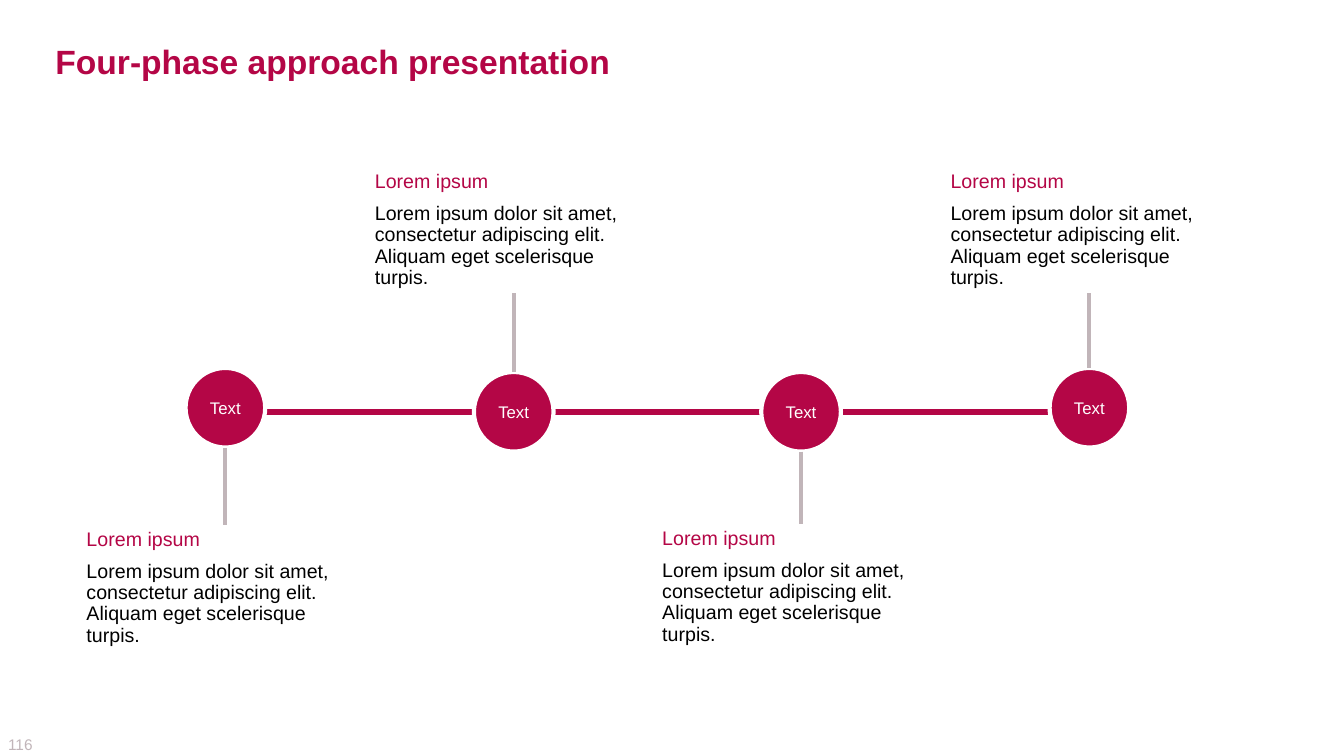
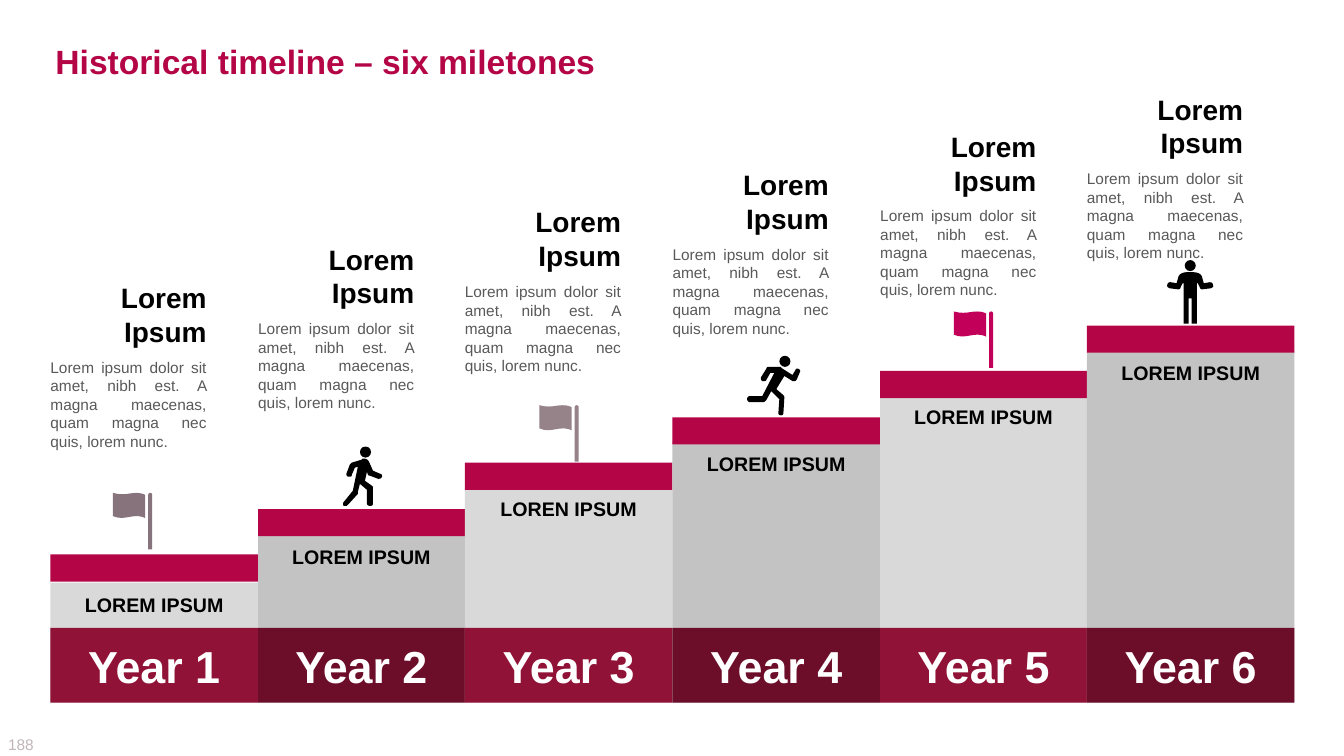
import dataclasses
import lxml.etree
import pptx
import pptx.dml.color
import pptx.enum.shapes
import pptx.enum.text
import pptx.oxml.ns
import pptx.util

PX = 9144
SHAPE = pptx.enum.shapes.MSO_SHAPE
ALIGN = pptx.enum.text.PP_ALIGN
ANCHOR = pptx.enum.text.MSO_ANCHOR


@dataclasses.dataclass(frozen=True)
class Theme:
    font: str = "Arial"
    brand: str = "B40646"
    flag: str = "C2005A"
    muted: str = "C1B5B9"
    ink: str = "000000"
    paper: str = "FFFFFF"
    body: str = "595959"
    columns: tuple = ("D9D9D9", "C3C3C3")
    years: tuple = ("901237", "6C0D29")
    title_pt: int = 24
    year_pt: int = 32
    heading_pt: int = 20
    label_pt: int = 14
    node_pt: int = 12
    small_pt: int = 11


T = Theme()

PHASE_TEXT = ("Lorem ipsum dolor sit amet, consectetur adipiscing elit. "
              "Aliquam eget scelerisque turpis.")
STEP_TEXT = ("Lorem ipsum dolor sit amet, nibh est. A magna maecenas, "
             "quam magna nec quis, lorem nunc.")

CLOTH = [(23, 0), (29, 0, 32, 2, 32, 2), (32, 25), (32, 25, 29, 23, 23, 23),
         (16, 23, 9, 27, 0, 23), (0, 0), (11, 3, 16, 0, 23, 0)]

WALKER = [(37, 27), (30, 24), (26, 15), (25, 13, 23, 12, 21, 12),
          (20, 12, 19, 12, 19, 13), (9, 16), (8, 17, 8, 17, 7, 18), (4, 26),
          (3, 28, 4, 29, 5, 30), (6, 30), (8, 30, 9, 30, 9, 28), (12, 21),
          (15, 20), (10, 44), (1, 55), (0, 56, 0, 58, 1, 59), (3, 59),
          (4, 59, 4, 59, 5, 58), (15, 47), (15, 46, 15, 46, 15, 45),
          (17, 37), (24, 43), (24, 57), (24, 58, 26, 59, 27, 59),
          (29, 59, 30, 58, 30, 57), (30, 41), (30, 40, 30, 40, 29, 39),
          (22, 34), (24, 25), (25, 28), (26, 29, 26, 29, 27, 29), (35, 32),
          (36, 32), (37, 32, 38, 32, 39, 30), (39, 29, 39, 27, 37, 27)]

RUNNER = [(51, 13), (50, 12, 48, 13, 48, 14), (45, 19), (34, 12),
          (34, 12, 34, 11, 33, 11), (21, 11), (20, 11, 19, 12, 19, 13),
          (14, 21), (13, 23, 14, 24, 15, 25), (17, 25),
          (18, 25, 19, 25, 19, 24), (23, 17), (27, 17), (15, 40), (3, 40),
          (1, 40, 0, 41, 0, 43), (0, 44, 1, 46, 3, 46), (16, 46),
          (17, 46, 18, 45, 19, 44), (24, 35), (32, 43), (31, 57),
          (31, 58, 32, 59, 34, 59), (35, 59, 36, 58, 36, 57), (37, 41),
          (37, 41, 37, 40, 36, 39), (29, 33), (37, 20), (45, 25),
          (45, 25, 46, 25, 47, 25), (48, 25, 48, 25, 49, 24), (52, 17),
          (53, 15, 53, 14, 51, 13)]

STANDER = [(46, 25), (46, 23, 45, 22, 43, 22), (37, 23), (35, 16),
           (33, 12, 28, 12, 23, 12), (19, 12, 14, 12, 12, 16), (10, 23),
           (4, 22), (2, 22, 1, 23, 1, 24), (0, 26, 1, 27, 3, 28), (11, 29),
           (12, 29), (13, 29, 14, 28, 14, 27), (16, 23), (17, 23), (17, 63),
           (22, 63), (22, 38), (25, 38), (25, 63), (30, 63), (30, 23),
           (31, 23), (33, 27), (33, 28, 34, 29, 35, 29), (36, 29), (44, 28),
           (46, 27, 47, 26, 46, 25)]


def rgb(color):
    return pptx.dml.color.RGBColor.from_string(color)


def emu(*lengths):
    return [round(v * PX) for v in lengths]


def write(sp, paragraphs, align=ALIGN.LEFT, anchor=ANCHOR.TOP,
          insets=(0, 0, 0, 0), line=None, gap=0):
    tf = sp.text_frame
    tf.word_wrap = True
    tf.vertical_anchor = anchor
    (tf.margin_left, tf.margin_top,
     tf.margin_right, tf.margin_bottom) = emu(*insets)
    for i, (text, size, color, bold) in enumerate(paragraphs):
        p = tf.add_paragraph() if i else tf.paragraphs[0]
        p.text = text
        p.alignment = align
        p.space_before = pptx.util.Pt(gap if i else 0)
        p.space_after = pptx.util.Pt(gap)
        if line:
            p.line_spacing = line
        f = p.runs[0].font
        f.name, f.size, f.bold = T.font, pptx.util.Pt(size), bold
        f.color.rgb = rgb(color)


def add_text(s, box, paragraphs, **style):
    write(s.shapes.add_textbox(*emu(*box)), paragraphs, **style)


def paint(sp, fill, outline=None, width=0):
    sp.shadow.inherit = False
    sp.fill.solid()
    sp.fill.fore_color.rgb = rgb(fill)
    if outline:
        sp.line.color.rgb = rgb(outline)
        sp.line.width = pptx.util.Pt(width)
    else:
        sp.line.fill.background()
    return sp


def add_shape(s, kind, box, fill, outline=None, width=0):
    return paint(s.shapes.add_shape(kind, *emu(*box)), fill, outline, width)


def add_line(s, start, end, color, width):
    c = s.shapes.add_connector(pptx.enum.shapes.MSO_CONNECTOR.STRAIGHT,
                               *emu(*start, *end))
    c.line.color.rgb = rgb(color)
    c.line.width = pptx.util.Pt(width)
    lxml.etree.SubElement(c._element.spPr, pptx.oxml.ns.qn("a:effectLst"))


def flatten(outline, steps=6):
    points = [outline[0]]
    for part in outline[1:]:
        if len(part) == 2:
            points.append(part)
            continue
        (x0, y0), (x1, y1, x2, y2, x3, y3) = points[-1], part
        for k in range(1, steps + 1):
            t = k / steps
            a, b, c, d = (1 - t) ** 3, 3 * t * (1 - t) ** 2, 3 * t * t * (1 - t), t ** 3
            points.append((a * x0 + b * x1 + c * x2 + d * x3,
                           a * y0 + b * y1 + c * y2 + d * y3))
    return points


def add_outline(s, x, y, outline, color):
    points = [emu(x + dx, y + dy) for dx, dy in flatten(outline)]
    fb = s.shapes.build_freeform(*points[0])
    fb.add_line_segments(points[1:], close=True)
    paint(fb.convert_to_shape(), color)


def add_flag(s, x, y, color):
    pole = add_shape(s, SHAPE.ROUND_2_SAME_RECTANGLE, (x + 35, y, 4, 56), color)
    pole.adjustments[0] = 0.5
    add_outline(s, x, y, CLOTH, color)


def add_figure(s, x, y, outline, head):
    add_shape(s, SHAPE.OVAL, (x + head, y, 11, 11), T.ink)
    add_outline(s, x, y, outline, T.ink)


def add_slide(prs, title, number):
    s = prs.slides.add_slide(prs.slide_layouts[6])
    add_text(s, (8, 729, 39, 19), [(number, T.small_pt, T.muted, False)],
             anchor=ANCHOR.MIDDLE)
    add_text(s, (47, 35, 1240, 51), [(title, T.title_pt, T.brand, True)],
             anchor=ANCHOR.MIDDLE, insets=(8, 5, 8, 5))
    return s


def add_phase(s, x, y, text_y):
    size, text_h = 79, 125
    mid = x + size / 2
    node = add_shape(s, SHAPE.OVAL, (x, y, size, size), T.brand, T.paper, 3)
    write(node, [("Text", T.node_pt, T.paper, False)], ALIGN.CENTER,
          ANCHOR.MIDDLE, (4, 4, 4, 4))
    if text_y < y:
        add_line(s, (mid, y), (mid, text_y + text_h), T.muted, 3)
    else:
        add_line(s, (mid, y + size), (mid, text_y), T.muted, 3)
    add_text(s, (x - 108, text_y, 296, text_h),
             [("Lorem ipsum", T.label_pt, T.brand, False),
              (PHASE_TEXT, T.label_pt, T.ink, False)],
             insets=(10, 4, 10, 4), line=0.9, gap=4)


def phases_slide(prs):
    s = add_slide(prs, "Four-phase approach presentation", "116")
    add_line(s, (229, 409), (1119, 409), T.brand, 4.5)
    rows = [(365, 521), (369, 166), (369, 520), (365, 166)]
    for i, (y, text_y) in enumerate(rows):
        add_phase(s, 184 + round(857 * i / 3), y, text_y)


def add_step(s, i, box, label, column_y):
    x, y, w, h = box
    bottom = y + h
    column = add_shape(s, SHAPE.RECTANGLE, (x, column_y, w, bottom - column_y),
                       T.columns[i % 2])
    write(column, [(label, T.label_pt, T.ink, True)], ALIGN.CENTER,
          insets=(10, 10, 10, 5))
    add_shape(s, SHAPE.RECTANGLE, (x, y, w, 27), T.brand)
    year = add_shape(s, SHAPE.RECTANGLE, (x, bottom - 74, w, 74), T.years[i % 2])
    write(year, [(f"Year {i + 1}", T.year_pt, T.paper, True)], ALIGN.CENTER,
          ANCHOR.MIDDLE)


def add_step_text(s, x, y):
    add_text(s, (x, y - 76, 155, 76), [("Lorem Ipsum", T.heading_pt, T.ink, True)],
             align=ALIGN.RIGHT, anchor=ANCHOR.BOTTOM, insets=(0, 5, 0, 5))
    add_text(s, (x, y, 155, 102), [(STEP_TEXT, T.small_pt, T.body, False)],
             align=ALIGN.JUSTIFY, insets=(0, 5, 0, 5))


def timeline_slide(prs):
    s = add_slide(prs, "Historical timeline – six miletones", "188")
    steps = [("LOREM IPSUM", 578), ("LOREM IPSUM", 531), ("LOREN IPSUM", 483),
             ("LOREM IPSUM", 438), ("LOREM IPSUM", 392), ("LOREM IPSUM", 348)]
    edges = [50 + round(1234 * i / 6) for i in range(7)]
    for i, (label, column_y) in enumerate(steps):
        x, y = edges[i], round(550 - 227 * i / 5)
        add_step(s, i, (x, y, edges[i + 1] - x, 697 - y), label, column_y)
        add_step_text(s, x, round(349.5 - 186.5 * i / 5))
    for x, y, color in [(112, 489, "87737B"), (535, 402, "968289"),
                        (946, 309, T.flag)]:
        add_flag(s, x, y, color)
    for x, y, outline, head in [(340, 443, WALKER, 17), (741, 353, RUNNER, 32),
                                (1157, 258, STANDER, 18)]:
        add_figure(s, x, y, outline, head)


def main():
    prs = pptx.Presentation()
    prs.slide_width, prs.slide_height = emu(1333, 750)
    phases_slide(prs)
    timeline_slide(prs)
    prs.save("out.pptx")


if __name__ == "__main__":
    main()
